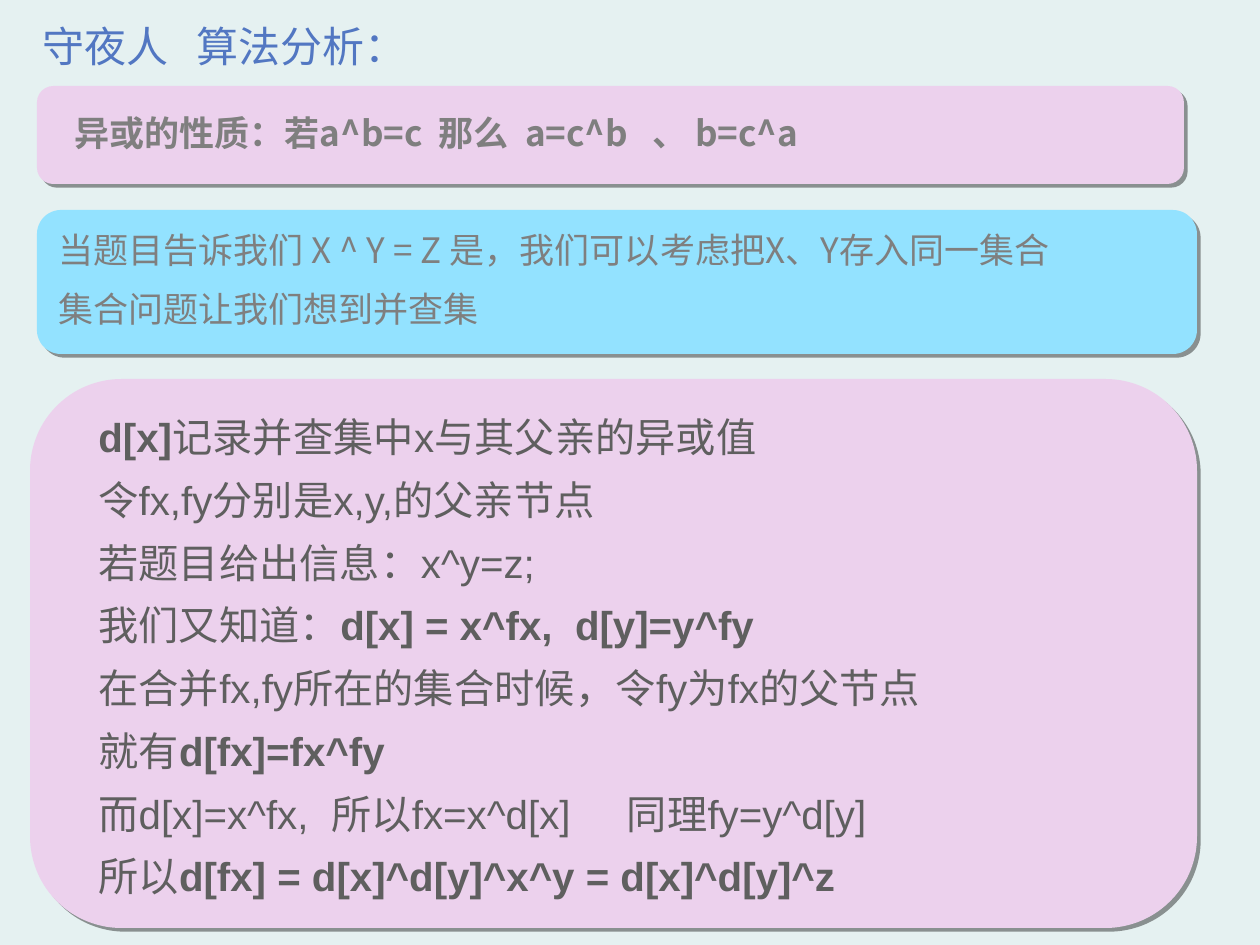
from lxml import etree
from pptx import Presentation
from pptx.dml.color import RGBColor
from pptx.enum.shapes import MSO_SHAPE
from pptx.enum.text import MSO_ANCHOR
from pptx.oxml import parse_xml
from pptx.oxml.ns import qn
from pptx.util import Emu, Pt

PANEL_SHAPE = MSO_SHAPE.FLOWCHART_ALTERNATE_PROCESS
MIDDLE = MSO_ANCHOR.MIDDLE
TOP = MSO_ANCHOR.TOP

EMU_PER_PX = 914400 / 126
CJK_FONT = "Noto Sans CJK SC"
LATIN_FONT = "Arial"

BACKGROUND = "E5F1F1"
PINK = "ECD1ED"
BLUE = "93E2FF"
TITLE_BLUE = "5277C2"
GREY = "7F7F7F"
DARK_GREY = "5F5F5F"

SHADOW = (
    '<a:effectLst xmlns:a="http://schemas.openxmlformats.org/drawingml/2006/main">'
    '<a:outerShdw blurRad="0" dist="38100" dir="2700000" algn="tl" rotWithShape="0">'
    '<a:srgbClr val="000000"><a:alpha val="40000"/></a:srgbClr>'
    "</a:outerShdw></a:effectLst>"
)

# Each line is a list of (text, bold) pieces.
DERIVATION = [
    [("d[x]", True), ("记录并查集中x与其父亲的异或值", False)],
    [("令fx,fy分别是x,y,的父亲节点", False)],
    [("若题目给出信息：x^y=z;", False)],
    [("我们又知道：", False), ("d[x] = x^fx,  d[y]=y^fy", True)],
    [("在合并fx,fy所在的集合时候，令fy为fx的父节点", False)],
    [("就有", False), ("d[fx]=fx^fy", True)],
    [("而d[x]=x^fx,  所以fx=x^d[x]     同理fy=y^d[y]", False)],
    [("所以", False), ("d[fx] = d[x]^d[y]^x^y = d[x]^d[y]^z", True)],
]


def px(value):
    return Emu(round(value * EMU_PER_PX))


def color(hex_value):
    return RGBColor.from_string(hex_value)


def add_panel(slide, left, top, width, height, fill):
    """Rounded panel with a hard shadow to the lower right."""
    shape = slide.shapes.add_shape(PANEL_SHAPE, px(left), px(top), px(width), px(height))
    shape.fill.solid()
    shape.fill.fore_color.rgb = color(fill)
    shape.line.fill.background()
    shape._element.spPr.append(parse_xml(SHADOW))


def add_text(slide, left, top, width, height, lines, size, hex_value,
             font_name=CJK_FONT, spacing=1.3, anchor=TOP):
    box = slide.shapes.add_textbox(px(left), px(top), px(width), px(height))
    frame = box.text_frame
    frame.word_wrap = True
    frame.vertical_anchor = anchor
    for index, pieces in enumerate(lines):
        paragraph = frame.add_paragraph() if index else frame.paragraphs[0]
        paragraph.line_spacing = spacing
        font = paragraph.font
        font.size = Pt(size)
        font.color.rgb = color(hex_value)
        font.name = font_name
        east_asian = etree.SubElement(font._element, qn("a:ea"))
        east_asian.set("typeface", CJK_FONT)
        for text, bold in pieces:
            run = paragraph.add_run()
            run.text = text
            run.font.bold = bold


def main():
    presentation = Presentation()
    presentation.slide_width = px(1260)
    presentation.slide_height = px(945)
    slide = presentation.slides.add_slide(presentation.slide_layouts[6])
    slide.background.fill.solid()
    slide.background.fill.fore_color.rgb = color(BACKGROUND)

    add_text(slide, 30, -9, 1086, 116, [[("守夜人   算法分析：", False)]],
             24, TITLE_BLUE, spacing=0.9, anchor=MIDDLE)

    add_panel(slide, 37, 210, 1160, 144, BLUE)
    add_panel(slide, 37, 86, 1147, 98, PINK)
    add_panel(slide, 30, 379, 1167, 549, PINK)

    add_text(slide, 62, 93, 1096, 68,
             [[("异或的性质：若a^b=c  那么  a=c^b   、 b=c^a", True)]], 20, GREY)
    hints = ["当题目告诉我们 X ^ Y = Z 是，我们可以考虑把X、Y存入同一集合",
             "集合问题让我们想到并查集"]
    for index, hint in enumerate(hints):
        add_text(slide, 46, 210 + 59 * index, 1096, 68, [[(hint, False)]], 20, GREY)
    add_text(slide, 86, 392, 998, 514, DERIVATION, 23, DARK_GREY, font_name=LATIN_FONT)

    presentation.save("out.pptx")


if __name__ == "__main__":
    main()
